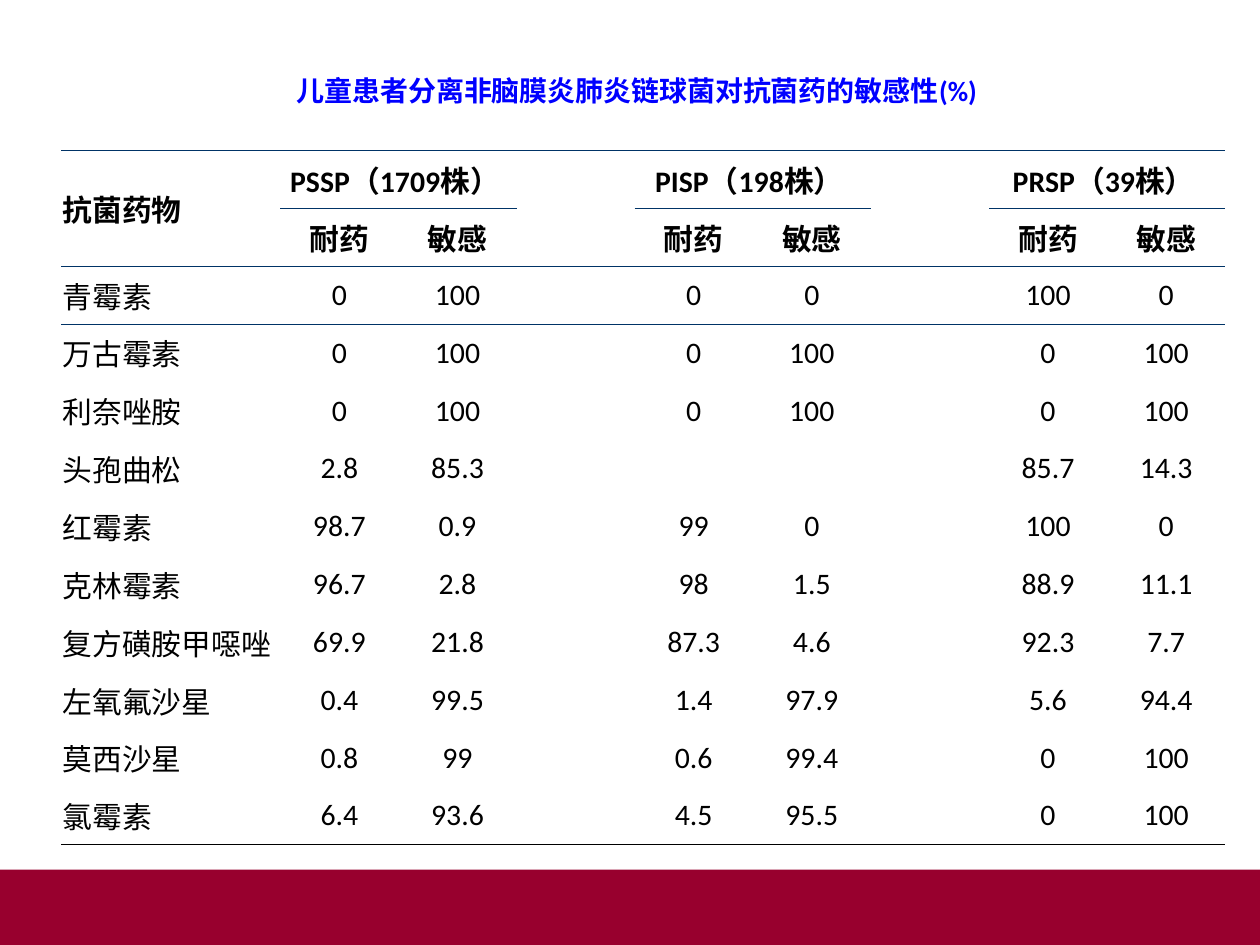
import pptx
import pptx.dml.color
import pptx.enum.shapes
import pptx.enum.text
import pptx.oxml.ns
import pptx.util
from lxml import etree

Pt = pptx.util.Pt
RGBColor = pptx.dml.color.RGBColor
ALIGN = pptx.enum.text.PP_ALIGN
MIDDLE = pptx.enum.text.MSO_ANCHOR.MIDDLE
qn = pptx.oxml.ns.qn

BLUE = RGBColor(0x00, 0x00, 0xFF)
NAVY = RGBColor(0x00, 0x33, 0x66)
BLACK = RGBColor(0x00, 0x00, 0x00)
CRIMSON = RGBColor(0x98, 0x00, 0x2E)
FONT = "Calibri"
NO_STYLE = "{2D5ABB26-0587-4C30-8999-92F81FD0307C}"

TITLE = "儿童患者分离非脑膜炎肺炎链球菌对抗菌药的敏感性(%)"
GROUPS = {1: "PSSP（1709株） ", 4: "PISP（198株） ", 7: "PRSP（39株） "}
DRUGS = [
    ("青霉素", "0", "100", "", "0", "0", "", "100", "0"),
    ("万古霉素", "0", "100", "", "0", "100", "", "0", "100"),
    ("利奈唑胺", "0", "100", "", "0", "100", "", "0", "100"),
    ("头孢曲松", "2.8", "85.3", "", "", "", "", "85.7", "14.3"),
    ("红霉素", "98.7", "0.9", "", "99", "0", "", "100", "0"),
    ("克林霉素", "96.7", "2.8", "", "98", "1.5", "", "88.9", "11.1"),
    ("复方磺胺甲噁唑", "69.9", "21.8", "", "87.3", "4.6", "", "92.3", "7.7"),
    ("左氧氟沙星", "0.4", "99.5", "", "1.4", "97.9", "", "5.6", "94.4"),
    ("莫西沙星", "0.8", "99", "", "0.6", "99.4", "", "0", "100"),
    ("氯霉素", "6.4", "93.6", "", "4.5", "95.5", "", "0", "100"),
]


def add_run(p, text, size, color, bold):
    r = p.add_run()
    r.text = text
    r.font.name = FONT
    r.font.size = Pt(size)
    r.font.bold = bold
    r.font.color.rgb = color


def add_band(s):
    sp = s.shapes.add_shape(pptx.enum.shapes.MSO_SHAPE.RECTANGLE, 0, Pt(497), Pt(720), Pt(43))
    sp.shadow.inherit = False
    sp.fill.solid()
    sp.fill.fore_color.rgb = CRIMSON
    sp.line.fill.background()


def set_title(s):
    sp = s.shapes.title
    sp.left, sp.top, sp.width, sp.height = Pt(14.4), Pt(28.8), Pt(699), Pt(46)
    tf = sp.text_frame
    tf.vertical_anchor = MIDDLE
    p = tf.paragraphs[0]
    p.alignment = ALIGN.CENTER
    add_run(p, TITLE, 16, BLUE, True)


def add_border(cell, side, color):
    tcPr = cell._tc.get_or_add_tcPr()
    ln = etree.SubElement(tcPr, qn("a:" + side), w=str(Pt(0.45)))
    fill = etree.SubElement(ln, qn("a:solidFill"))
    etree.SubElement(fill, qn("a:srgbClr"), val=str(color))


def border_cell(cell, row, col):
    in_group = col not in (3, 6)
    if row in (0, 2) or (row == 1 and in_group):
        add_border(cell, "lnT", NAVY)
    if row == 1 or (row == 0 and in_group):
        add_border(cell, "lnB", NAVY)
    if row == len(DRUGS) + 1:
        add_border(cell, "lnB", BLACK)
    cell.fill.background()


def fill_cell(cell, text, row, col):
    cell.vertical_anchor = MIDDLE
    cell.margin_left = cell.margin_right = Pt(0.7)
    cell.margin_top = cell.margin_bottom = Pt(3.6)
    p = cell.text_frame.paragraphs[0]
    p.alignment = ALIGN.CENTER if col else ALIGN.LEFT
    add_run(p, text, 17, BLACK, row < 2)


def add_drug_table(s):
    top_row = ["抗菌药物"] + [GROUPS.get(col, "") for col in range(1, 9)]
    sub_row = [""] + ["耐药", "敏感", ""] * 2 + ["耐药", "敏感"]
    rows = [top_row, sub_row] + DRUGS
    frame = s.shapes.add_table(len(rows), 9, Pt(35), Pt(86), Pt(665.2), Pt(396.7))
    table = frame.table
    table.first_row = table.horz_banding = False
    table._tbl.tblPr.find(qn("a:tableStyleId")).text = NO_STYLE
    for col, column in enumerate(table.columns):
        column.width = Pt(67.5 if col else 125.2)
    for row, texts in enumerate(rows):
        for col, text in enumerate(texts):
            cell = table.cell(row, col)
            border_cell(cell, row, col)
            if text:
                fill_cell(cell, text, row, col)
    table.cell(0, 0).merge(table.cell(1, 0))
    for col in GROUPS:
        table.cell(0, col).merge(table.cell(0, col + 1))


def main():
    prs = pptx.Presentation()
    prs.slide_width, prs.slide_height = Pt(720), Pt(540)
    s = prs.slides.add_slide(prs.slide_layouts[5])
    add_band(s)
    set_title(s)
    add_drug_table(s)
    prs.save("out.pptx")


if __name__ == "__main__":
    main()
